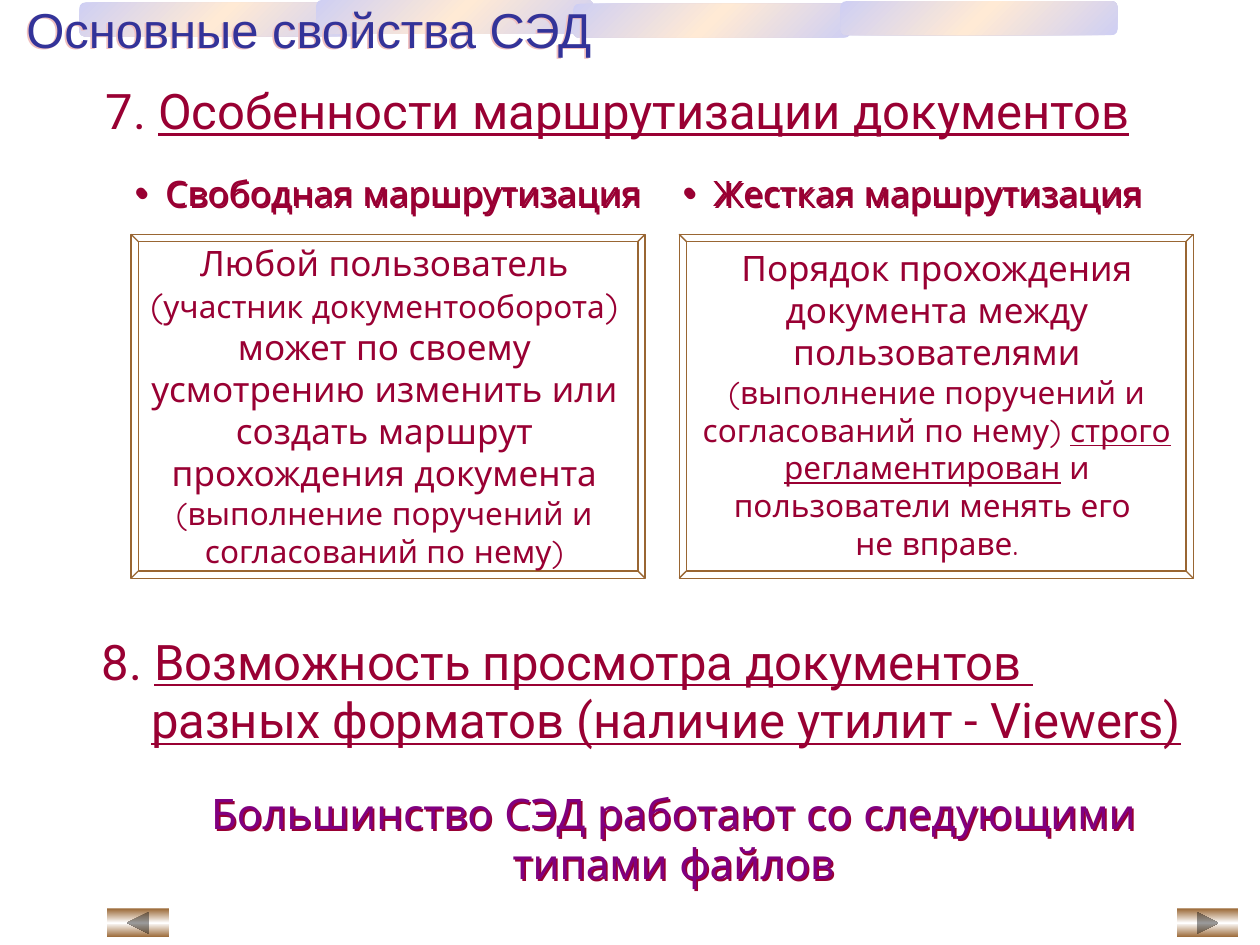
from lxml.etree import SubElement
from pptx import Presentation
from pptx.dml.color import RGBColor
from pptx.enum.shapes import MSO_SHAPE
from pptx.enum.text import MSO_ANCHOR, MSO_AUTO_SIZE, PP_ALIGN
from pptx.oxml import parse_xml
from pptx.oxml.ns import nsdecls, qn
from pptx.util import Inches, Pt

CRIMSON = RGBColor(0x99, 0x00, 0x33)
PURPLE = RGBColor(0x80, 0x00, 0x80)
NAVY = RGBColor(0x33, 0x33, 0x99)
PINK = RGBColor(0xF0, 0xBF, 0xBF)
BROWN = RGBColor(0x99, 0x66, 0x33)
WHITE = RGBColor(0xFF, 0xFF, 0xFF)
LILAC = RGBColor(0xCF, 0xCF, 0xF3)
CREAM = RGBColor(0xFF, 0xEA, 0xD5)


def set_box(sp, box):
    """Place a shape at left, top, width, height in inches."""
    sp.left, sp.top, sp.width, sp.height = map(Inches, box)


def set_frame(sp, inset=0, anchor=MSO_ANCHOR.TOP):
    """Prepare a wrapping text frame and return it."""
    tf = sp.text_frame
    tf.word_wrap = True
    tf.auto_size = MSO_AUTO_SIZE.NONE
    tf.vertical_anchor = anchor
    tf.margin_left = tf.margin_right = Inches(inset)
    tf.margin_top = tf.margin_bottom = Inches(0.05)
    return tf


def add_text(p, text, size, font, color, underline=False):
    """Add formatted runs, with a line break at each newline."""
    for i, line in enumerate(text.split("\n")):
        if i:
            p.add_line_break()
        r = p.add_run()
        r.text = line
        r.font.size, r.font.name = Pt(size), font
        r.font.color.rgb = color
        r.font.underline = underline


def add_shadow(sp, color, angle):
    """Give a shape a crisp shadow."""
    sp.shadow.inherit = False
    effects = sp._element.spPr.find(qn("a:effectLst"))
    shadow = SubElement(effects, qn("a:outerShdw"), dist="17961", dir=str(angle * 60000))
    SubElement(shadow, qn("a:srgbClr"), val=str(color))


def fill_gradient(sp, edge, middle, angle):
    """Fill a shape with a symmetric three-stop gradient and no line."""
    sp.shadow.inherit = False
    sp.line.fill.background()
    stops = "".join(
        f'<a:gs pos="{pos}"><a:srgbClr val="{color}"/></a:gs>'
        for pos, color in ((0, edge), (50000, middle), (100000, edge)))
    sp._element.spPr.find(qn("a:prstGeom")).addnext(parse_xml(
        f'<a:gradFill {nsdecls("a")}><a:gsLst>{stops}</a:gsLst>'
        f'<a:lin ang="{angle * 60000}" scaled="0"/></a:gradFill>'))


def add_stripes(s):
    """Draw the band of stripes behind everything else."""
    for i, (left, top) in enumerate(((0.63, 0.02), (2.51, 0), (4.55, 0.03), (6.67, 0.01))):
        sp = s.shapes.add_shape(MSO_SHAPE.ROUNDED_RECTANGLE, Inches(left),
                                Inches(top), Inches(2.2), Inches(0.27))
        fill_gradient(sp, LILAC, CREAM, 225)
        s.shapes._spTree.insert(2 + i, sp._element)


def add_title(s, box):
    """Fill the slide title."""
    sp = s.shapes.title
    set_box(sp, box)
    p = set_frame(sp, anchor=MSO_ANCHOR.MIDDLE).paragraphs[0]
    p.alignment, p.line_spacing = PP_ALIGN.CENTER, 0.9
    add_text(p, "Основные свойства СЭД", 28, "Arial", NAVY)
    add_shadow(sp, PINK, 135)


def add_heading(s, box, number, lines):
    """Add a numbered, underlined heading with later lines indented."""
    tf = set_frame(s.shapes.add_textbox(*map(Inches, box)), 0.1)
    p = tf.paragraphs[0]
    add_text(p, number, 28, "Roboto", CRIMSON)
    add_text(p, lines[0], 28, "Roboto", CRIMSON, True)
    for line in lines[1:]:
        p = tf.add_paragraph()
        p._p.get_or_add_pPr().set("marL", str(Inches(0.39)))
        add_text(p, line, 28, "Roboto", CRIMSON, True)


def add_routing(s, idx, left, caption, text_box, parts):
    """Add a bulleted caption over a bevelled panel of centred text."""
    sp = s.placeholders[idx]
    set_box(sp, (left + 0.03, 1.31, 4.19, 0.44))
    p = set_frame(sp).paragraphs[0]
    p.space_before = Pt(0)
    pPr = p._p.get_or_add_pPr()
    pPr.set("marL", str(Inches(0.24)))
    pPr.set("indent", str(-Inches(0.24)))
    SubElement(SubElement(pPr, qn("a:buClr")), qn("a:srgbClr"), val=str(CRIMSON))
    SubElement(pPr, qn("a:buChar"), char="•")
    add_text(p, caption, 20, "Quicksand", CRIMSON)
    add_shadow(sp, CRIMSON, 45)

    panel = s.shapes.add_shape(MSO_SHAPE.BEVEL, Inches(left), Inches(1.86),
                               Inches(4.08), Inches(2.73))
    panel.adjustments[0] = 0.021
    panel.shadow.inherit = False
    panel.fill.background()
    panel.line.color.rgb, panel.line.width = BROWN, Pt(0.75)

    p = set_frame(s.shapes.add_textbox(*map(Inches, text_box))).paragraphs[0]
    p.alignment = PP_ALIGN.CENTER
    for text, size, underline in parts:
        add_text(p, text, size, "Quicksand", CRIMSON, underline)


def add_summary(s, box):
    """Add the closing statement."""
    sp = s.shapes.add_textbox(*map(Inches, box))
    p = set_frame(sp, 0.1).paragraphs[0]
    p.alignment = PP_ALIGN.CENTER
    add_text(p, "Большинство СЭД работают со следующими типами файлов",
             24, "Quicksand", PURPLE)
    add_shadow(sp, CRIMSON, 45)


def add_button(s, kind, box):
    """Add a navigation button."""
    sp = s.shapes.add_shape(kind, *map(Inches, box))
    fill_gradient(sp, BROWN, WHITE, 90)


def main():
    """Build and save the slide."""
    prs = Presentation()
    prs.slide_width, prs.slide_height = Inches(10), Inches(7.5)
    s = prs.slides.add_slide(prs.slide_layouts[3])
    add_stripes(s)
    add_heading(s, (0.74, 0.59, 8.64, 0.6), "7. ", ["Особенности маршрутизации документов"])
    add_routing(s, 1, 1.04, "Свободная маршрутизация", (1.01, 1.87, 4.08, 2.7), (
        ("Любой пользователь\n(", 20, False),
        ("участник документооборота", 18, False),
        (") может по своему усмотрению изменить или создать маршрут "
         "прохождения документа ", 20, False),
        ("(выполнение поручений и согласований по нему)", 18, False)))
    add_routing(s, 2, 5.39, "Жесткая маршрутизация", (5.52, 1.91, 3.83, 2.6), (
        ("Порядок прохождения документа между пользователями ", 20, False),
        ("(выполнение поручений и согласований по нему) ", 18, False),
        ("строго регламентирован", 18, True),
        (" и пользователи менять его \nне вправе.", 18, False)))
    add_heading(s, (0.71, 4.96, 9.01, 1.1), "8. ", [
        "Возможность просмотра документов ",
        "разных форматов (наличие утилит - Viewers)"])
    add_title(s, (0, 0.06, 4.9, 0.39))
    add_summary(s, (1.22, 6.2, 8.25, 0.9))
    add_button(s, MSO_SHAPE.ACTION_BUTTON_FORWARD_OR_NEXT, (9.34, 7.21, 0.49, 0.23))
    add_button(s, MSO_SHAPE.ACTION_BUTTON_BACK_OR_PREVIOUS, (0.85, 7.21, 0.49, 0.23))
    prs.save("out.pptx")


if __name__ == "__main__":
    main()
